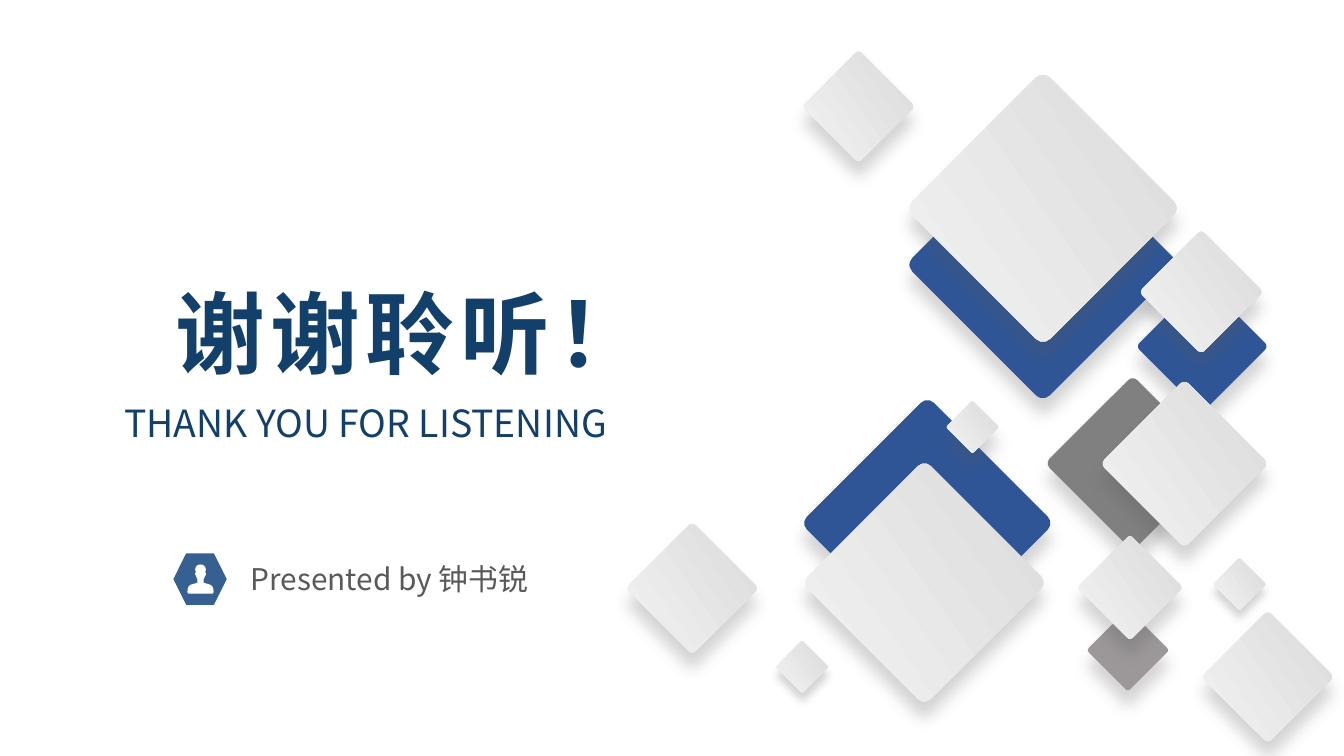
import dataclasses

import lxml.etree
import pptx
import pptx.dml.color
import pptx.enum.shapes
import pptx.enum.text
import pptx.oxml.ns
import pptx.shapes.autoshape
import pptx.shapes.shapetree
import pptx.util

SLIDE_WIDTH = pptx.util.Emu(12192000)
SLIDE_HEIGHT = pptx.util.Emu(6858000)
CELL = SLIDE_WIDTH / 40
TYPEFACE = "Noto Sans CJK SC"
NAVY, BLUE, BADGE_BLUE = "133F6B", "2F5597", "376092"
GRAY, WARM_GRAY, DARK_GRAY, WHITE = "808080", "9C9899", "595959", "FFFFFF"
PALE = ("F2F2F2", "DBDBDB")


@dataclasses.dataclass(frozen=True)
class Tile:
    column: float
    row: float
    side: float
    colors: tuple[str, ...] = PALE
    shadow_points: float = 11


@dataclasses.dataclass(frozen=True)
class Caption:
    text: str
    column: float
    row: float
    columns: float
    rows: float
    size: float
    color: str
    bold: bool = False
    tracking: float = 0
    wrap: bool = True
    margins: tuple[float, float] = (0.4, 0.2)


TILES = (
    Tile(33.57, 19.35, 1.74, (WARM_GRAY,)),
    Tile(31.04, 7.88, 5.79, (BLUE,)),
    Tile(27.6, 15.57, 5.34, (BLUE,)),
    Tile(33.71, 13.79, 3.69, (GRAY,)),
    Tile(35.78, 10.31, 2.79, (BLUE,)),
    Tile(25.55, 3.17, 2.37),
    Tile(35.75, 8.69, 2.61),
    Tile(31.04, 6.2, 5.79),
    Tile(35.25, 13.8, 3.54),
    Tile(27.51, 17.34, 5.16),
    Tile(20.6, 17.51, 2.79),
    Tile(37.73, 20.15, 2.79),
    Tile(33.63, 17.49, 2.22),
    Tile(23.87, 19.85, 1.11, shadow_points=6),
    Tile(36.89, 17.39, 1.11, shadow_points=6),
    Tile(28.94, 12.71, 1.11),
)
THANKS = Caption("谢谢聆听！", 4.83, 8.07, 32.13, 3.63, 64, NAVY, bold=True, tracking=4)
SUBTITLE = Caption("THANK YOU FOR LISTENING", 3.3, 11.7, 32.13, 1.74, 26.7, NAVY)
PRESENTER = Caption("Presented by 钟书锐", 7.17, 16.53, 9.15, 1.38, 21.3, DARK_GRAY,
                    wrap=False, margins=(0.3, 0.15))

BUST_CENTER, BUST_TOP = 597, 1680
BUST_PROFILE = (
    (0, 0), (7, 1), (12, 5), (15, 10), (16, 15), (14, 23), (16, 26), (16, 31),
    (13, 34), (12, 39), (9, 44), (9, 54), (18, 57), (29, 60), (35, 65),
    (38, 72), (39, 81), (38, 85), (35, 87),
)


def cells(count: float) -> pptx.util.Emu:
    return pptx.util.Emu(round(count * CELL))


def rgb(color: str) -> pptx.dml.color.RGBColor:
    return pptx.dml.color.RGBColor.from_string(color)


def paint(shape: pptx.shapes.autoshape.Shape, colors: tuple[str, ...]) -> None:
    shape.shadow.inherit = False
    shape.line.fill.background()
    if len(colors) == 1:
        shape.fill.solid()
        shape.fill.fore_color.rgb = rgb(colors[0])
        return
    shape.fill.gradient()
    shape.fill.gradient_angle = 80
    for stop, color in zip(shape.fill.gradient_stops, colors):
        stop.color.rgb = rgb(color)


def cast_shadow(shape: pptx.shapes.autoshape.Shape, points: float) -> None:
    qn = pptx.oxml.ns.qn
    effects = shape.element.spPr.find(qn("a:effectLst"))
    length = str(pptx.util.Pt(points))
    shadow = lxml.etree.SubElement(effects, qn("a:outerShdw"), blurRad=length, dist=length,
                                   dir="5400000", algn="t", rotWithShape="0")
    color = lxml.etree.SubElement(shadow, qn("a:srgbClr"), val=DARK_GRAY)
    lxml.etree.SubElement(color, qn("a:alpha"), val="25000")


def draw_tile(shapes: pptx.shapes.shapetree.SlideShapes, tile: Tile) -> None:
    diamond = shapes.add_shape(
        pptx.enum.shapes.MSO_SHAPE.ROUNDED_RECTANGLE,
        cells(tile.column - tile.side / 2), cells(tile.row - tile.side / 2),
        cells(tile.side), cells(tile.side))
    diamond.rotation = 45
    diamond.adjustments[0] = 0.05
    paint(diamond, tile.colors)
    cast_shadow(diamond, tile.shadow_points)


def write_caption(shapes: pptx.shapes.shapetree.SlideShapes | pptx.shapes.shapetree.GroupShapes,
                  caption: Caption) -> None:
    frame = shapes.add_textbox(cells(caption.column), cells(caption.row),
                               cells(caption.columns), cells(caption.rows)).text_frame
    frame.word_wrap = caption.wrap
    frame.auto_size = pptx.enum.text.MSO_AUTO_SIZE.SHAPE_TO_FIT_TEXT
    frame.margin_left = frame.margin_right = cells(caption.margins[0])
    frame.margin_top = frame.margin_bottom = cells(caption.margins[1])
    paragraph = frame.paragraphs[0]
    paragraph.text = caption.text
    font = paragraph.font
    font.name = TYPEFACE
    font.size = pptx.util.Pt(caption.size)
    font.bold = caption.bold
    font.color.rgb = rgb(caption.color)
    properties = paragraph._p.pPr.defRPr
    lxml.etree.SubElement(properties, pptx.oxml.ns.qn("a:ea"), typeface=TYPEFACE)
    if caption.tracking:
        properties.set("spc", str(round(caption.tracking * 100)))


def draw_badge(shapes: pptx.shapes.shapetree.GroupShapes) -> None:
    hexagon = shapes.add_shape(pptx.enum.shapes.MSO_SHAPE.HEXAGON,
                               cells(5.16), cells(16.47), cells(1.59), cells(1.53))
    paint(hexagon, (BADGE_BLUE,))
    right = [(BUST_CENTER + x, BUST_TOP + y) for x, y in BUST_PROFILE]
    left = [(BUST_CENTER - x, BUST_TOP + y) for x, y in reversed(BUST_PROFILE[1:])]
    outline = shapes.build_freeform(*right[0], scale=CELL / 100)
    outline.add_line_segments(right[1:] + left, close=True)
    paint(outline.convert_to_shape(), (WHITE,))


def main() -> None:
    deck = pptx.Presentation()
    deck.slide_width, deck.slide_height = SLIDE_WIDTH, SLIDE_HEIGHT
    closing = deck.slides.add_slide(deck.slide_layouts[6])
    for tile in TILES:
        draw_tile(closing.shapes, tile)
    write_caption(closing.shapes, THANKS)
    write_caption(closing.shapes, SUBTITLE)
    signature = closing.shapes.add_group_shape()
    write_caption(signature.shapes, PRESENTER)
    draw_badge(signature.shapes)
    deck.save("out.pptx")


if __name__ == "__main__":
    main()
